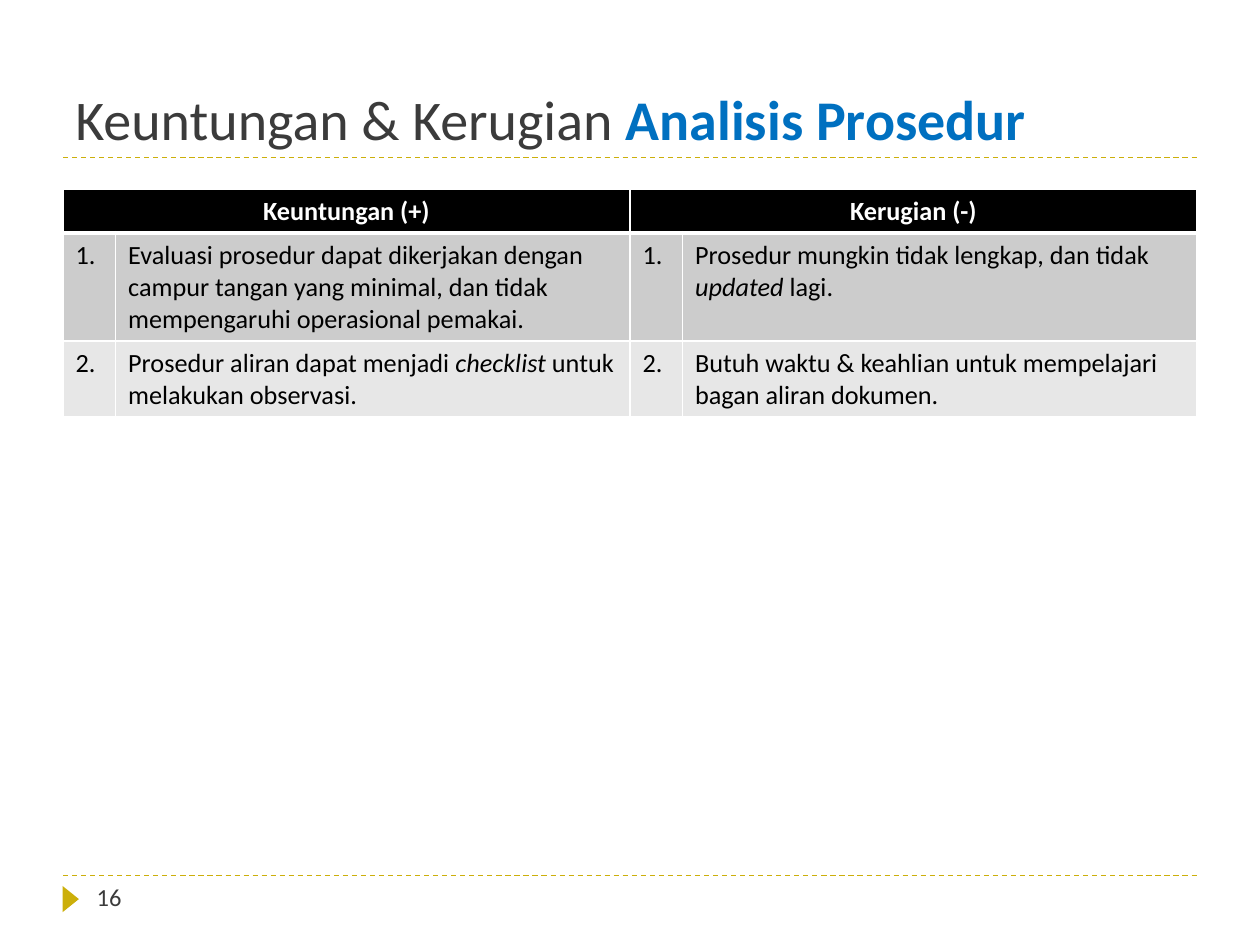
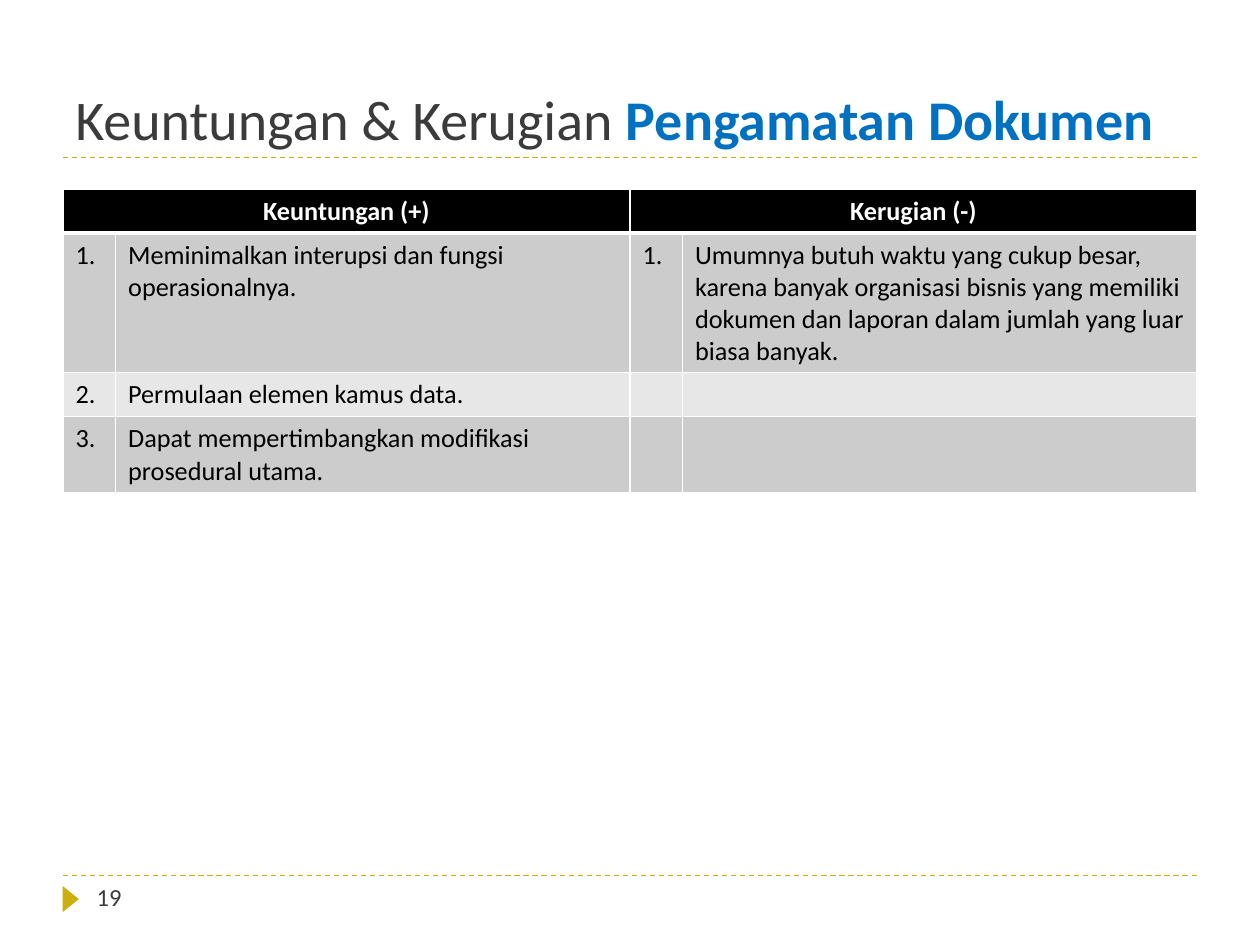
from dataclasses import dataclass

from lxml.etree import SubElement
from pptx import Presentation
from pptx.dml.color import RGBColor
from pptx.enum.dml import MSO_LINE
from pptx.enum.shapes import MSO_CONNECTOR, MSO_SHAPE
from pptx.enum.text import MSO_ANCHOR, PP_ALIGN
from pptx.oxml.ns import qn
from pptx.slide import Slide
from pptx.table import _Cell
from pptx.text.text import TextFrame, _Paragraph
from pptx.util import Cm, Pt


@dataclass(frozen=True)
class Theme:
    font: str = "Calibri"
    ink: str = "3B3B3B"
    blue: str = "0070C0"
    gold: str = "CCAF0A"
    black: str = "000000"
    white: str = "FFFFFF"
    bands: tuple[str, str] = ("CCCCCC", "E7E7E7")
    title: int = 32
    body: int = 15
    foot: int = 14
    rule: float = 0.75
    thin: int = 1
    thick: int = 3


@dataclass(frozen=True)
class Row:
    lines: int
    pro: str
    con: str = ""


@dataclass(frozen=True)
class Page:
    number: int
    topic: str
    rows: tuple[Row, ...]


THEME = Theme()
LEFT, WIDTH = Cm(1.27), Cm(22.86)
TITLE_RULE, FOOT_RULE = Cm(3.18), Cm(17.65)
COLUMNS = (Cm(1.06), Cm(10.37)) * 2
HEADS = ("Keuntungan (+)", "Kerugian (-)")
LEAD = "Keuntungan & Kerugian "

PAGES = (
    Page(16, "Analisis Prosedur", (
        Row(3, "Evaluasi prosedur dapat dikerjakan dengan campur tangan yang "
               "minimal, dan tidak mempengaruhi operasional pemakai.",
            "Prosedur mungkin tidak lengkap, dan tidak *updated *lagi."),
        Row(2, "Prosedur aliran dapat menjadi *checklist *untuk melakukan observasi.",
            "Butuh waktu & keahlian untuk mempelajari bagan aliran dokumen."),
    )),
    Page(19, "Pengamatan Dokumen", (
        Row(4, "Meminimalkan interupsi dan fungsi operasionalnya.",
            "Umumnya butuh waktu yang cukup besar, karena banyak organisasi bisnis "
            "yang memiliki dokumen dan laporan dalam jumlah yang luar biasa banyak."),
        Row(1, "Permulaan elemen kamus data."),
        Row(2, "Dapat mempertimbangkan modifikasi prosedural utama."),
    )),
)


def color(code: str) -> RGBColor:
    return RGBColor.from_string(code)


def style(par: _Paragraph, size: int, code: str) -> None:
    par.font.name = THEME.font
    par.font.size = Pt(size)
    par.font.color.rgb = color(code)


def add_box(slide: Slide, left: int, top: int, width: int, height: int) -> TextFrame:
    frame = slide.shapes.add_textbox(left, top, width, height).text_frame
    frame.word_wrap = True
    return frame


def add_rule(slide: Slide, top: int) -> None:
    rule = slide.shapes.add_connector(MSO_CONNECTOR.STRAIGHT, LEFT, top, LEFT + WIDTH, top)
    rule.line.color.rgb = color(THEME.gold)
    rule.line.width = Pt(THEME.rule)
    rule.line.dash_style = MSO_LINE.DASH
    SubElement(rule._element.spPr, qn("a:effectLst"))


def add_title(slide: Slide, topic: str) -> None:
    frame = add_box(slide, LEFT, Cm(0.43), WIDTH, Cm(2.75))
    frame.vertical_anchor = MSO_ANCHOR.BOTTOM
    par = frame.paragraphs[0]
    style(par, THEME.title, THEME.ink)
    par.add_run().text = LEAD
    run = par.add_run()
    run.text = topic
    run.font.bold = True
    run.font.color.rgb = color(THEME.blue)


def add_foot(slide: Slide, number: int) -> None:
    mark = slide.shapes.add_shape(
        MSO_SHAPE.ISOSCELES_TRIANGLE, Cm(1.16), Cm(17.96), Cm(0.53), Cm(0.33))
    mark.rotation = 90
    mark.shadow.inherit = False
    mark.fill.solid()
    mark.fill.fore_color.rgb = color(THEME.gold)
    mark.line.fill.background()
    par = add_box(slide, Cm(1.7), FOOT_RULE, Cm(5.51), Cm(1.02)).paragraphs[0]
    par.text = str(number)
    style(par, THEME.foot, THEME.ink)


def paint(cell: _Cell, fill: str, top: int, base: int) -> None:
    props = cell._tc.get_or_add_tcPr()
    sides = {"L": THEME.thin, "R": THEME.thin, "T": top, "B": base}
    for side, width in sides.items():
        line = SubElement(props, qn(f"a:ln{side}"), w=str(Pt(width)))
        SubElement(SubElement(line, qn("a:solidFill")), qn("a:srgbClr"), val=THEME.white)
    cell.fill.solid()
    cell.fill.fore_color.rgb = color(fill)


def write(cell: _Cell, text: str, code: str) -> _Paragraph:
    par = cell.text_frame.paragraphs[0]
    style(par, THEME.body, code)
    for place, part in enumerate(text.split("*")):
        if part:
            run = par.add_run()
            run.text = part
            if place % 2:
                run.font.italic = True
    return par


def add_grid(slide: Slide, rows: tuple[Row, ...]) -> None:
    count = len(rows) + 1
    grid = slide.shapes.add_table(
        count, len(COLUMNS), LEFT, Cm(3.81), WIDTH, Cm(count)).table
    grid.horz_banding = False
    for column, width in zip(grid.columns, COLUMNS):
        column.width = width
    grid.rows[0].height = Cm(0.87)
    for cell in grid.rows[0].cells:
        paint(cell, THEME.black, THEME.thin, THEME.thick)
    for side, head in enumerate(HEADS):
        cell = grid.cell(0, side * 2)
        cell.merge(grid.cell(0, side * 2 + 1))
        par = write(cell, head, THEME.white)
        par.alignment = PP_ALIGN.CENTER
        par.font.bold = True
    for index, row in enumerate(rows, 1):
        grid.rows[index].height = Cm(0.25 + 0.64 * row.lines)
        label = f"{index}."
        texts = (label, row.pro, label if row.con else "", row.con)
        top = THEME.thick if index == 1 else THEME.thin
        for cell, text in zip(grid.rows[index].cells, texts):
            paint(cell, THEME.bands[(index - 1) % 2], top, THEME.thin)
            write(cell, text, THEME.black)


def main() -> None:
    deck = Presentation()
    deck.slide_width, deck.slide_height = Cm(25.4), Cm(19.05)
    for page in PAGES:
        slide = deck.slides.add_slide(deck.slide_layouts[6])
        add_rule(slide, FOOT_RULE)
        add_rule(slide, TITLE_RULE)
        add_title(slide, page.topic)
        add_foot(slide, page.number)
        add_grid(slide, page.rows)
    deck.save("out.pptx")


if __name__ == "__main__":
    main()
